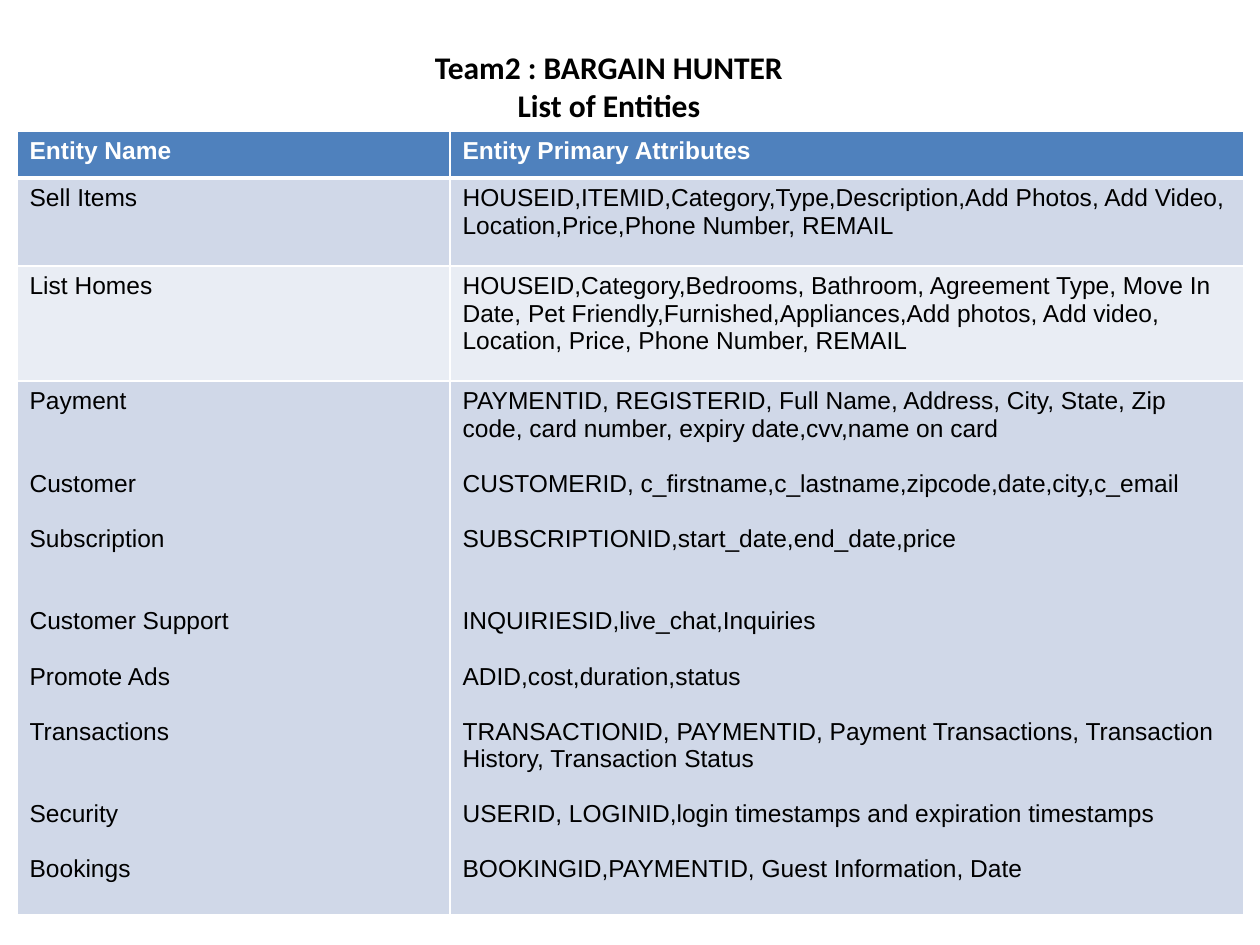
from lxml.etree import SubElement as Sub
from pptx import Presentation
from pptx.dml.color import RGBColor as RGB
from pptx.enum.text import PP_ALIGN as AL
from pptx.oxml.ns import qn
from pptx.util import Emu, Pt

C = {"black": "000000", "white": "FFFFFF", "head": "4F81BD",
     "band": "D0D8E8", "light": "E9EDF4"}
LINE = Pt(15.75)


def px(n):
    return Emu(round(n * 914400 / 126))


def write(tf, lines, font, size, color, bold, align=AL.LEFT):
    for i, (text, gap) in enumerate(lines):
        p = tf.paragraphs[0] if i == 0 else tf.add_paragraph()
        p.text = text
        p.alignment = align
        p.space_before = gap * LINE
        p.font.name = font
        p.font.size = Pt(size)
        p.font.bold = bold
        p.font.color.rgb = RGB.from_string(C[color])


prs = Presentation()
prs.slide_width, prs.slide_height = px(1260), px(945)
s = prs.slides.add_slide(prs.slide_layouts[6])

title = s.shapes.add_textbox(px(409), px(42), px(400), px(89))
title.text_frame.word_wrap = True
write(title.text_frame, [("Team2 : BARGAIN HUNTER", 0), ("List of Entities", 0)],
      "Calibri", 18, "black", True, AL.CENTER)

services = [
    ("Payment", 0, "PAYMENTID, REGISTERID, Full Name, Address, City, State, Zip code, card number, expiry date,cvv,name on card", 0),
    ("Customer", 2, "CUSTOMERID, c_firstname,c_lastname,zipcode,date,city,c_email", 1),
    ("Subscription", 1, "SUBSCRIPTIONID,start_date,end_date,price", 1),
    ("Customer Support", 2, "INQUIRIESID,live_chat,Inquiries", 2),
    ("Promote Ads", 1, "ADID,cost,duration,status", 1),
    ("Transactions", 1, "TRANSACTIONID, PAYMENTID, Payment Transactions, Transaction History, Transaction Status", 1),
    ("Security", 2, "USERID, LOGINID,login timestamps and expiration timestamps", 1),
    ("Bookings", 1, "BOOKINGID,PAYMENTID, Guest Information, Date", 1),
]
rows = [
    (47, "head", [("Entity Name", 0, "Entity Primary Attributes", 0)]),
    (88, "band", [("Sell Items", 0, "HOUSEID,ITEMID,Category,Type,Description,Add Photos, Add Video, Location,Price,Phone Number, REMAIL", 0)]),
    (115, "light", [("List Homes", 0, "HOUSEID,Category,Bedrooms, Bathroom, Agreement Type, Move In Date, Pet Friendly,Furnished,Appliances,Add photos, Add video, Location, Price, Phone Number, REMAIL", 0)]),
    (534, "band", services),
]
widths = [433, 794]
table = s.shapes.add_table(len(rows), 2, px(17), px(131), px(sum(widths)),
                           px(sum(row[0] for row in rows))).table
for col, width in zip(table.columns, widths):
    col.width = px(width)

for r, (height, fill, entities) in enumerate(rows):
    table.rows[r].height = px(height)
    columns = ([e[:2] for e in entities], [e[2:] for e in entities])
    for c, lines in enumerate(columns):
        cell = table.cell(r, c)
        write(cell.text_frame, lines, "Arial", 14,
              "white" if r == 0 else "black", r == 0)
        tcPr = cell._tc.get_or_add_tcPr()
        for side in ("lnL", "lnR", "lnT", "lnB"):
            thick = (r, side) in ((0, "lnB"), (1, "lnT"))
            ln = Sub(tcPr, qn("a:" + side), w=str(Pt(3 if thick else 1)))
            Sub(Sub(ln, qn("a:solidFill")), qn("a:srgbClr"), val=C["white"])
        cell.fill.solid()
        cell.fill.fore_color.rgb = RGB.from_string(C[fill])

prs.save("out.pptx")
